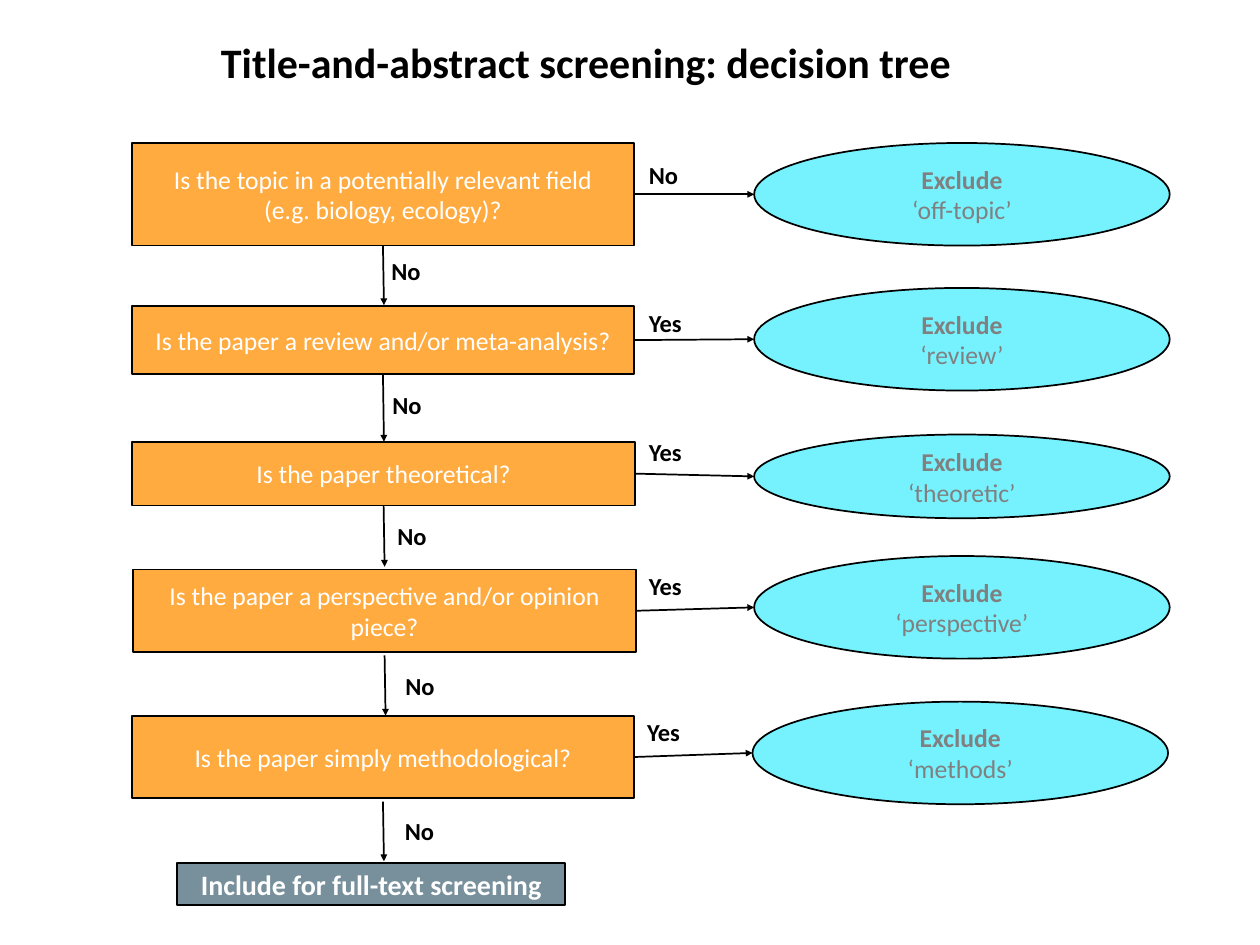
from collections import namedtuple

from pptx import Presentation
from pptx.dml.color import RGBColor
from pptx.enum.shapes import MSO_CONNECTOR, MSO_SHAPE
from pptx.enum.text import MSO_ANCHOR, MSO_AUTO_SIZE, PP_ALIGN
from pptx.oxml.ns import qn
from pptx.util import Cm, Pt
from lxml.etree import SubElement

BLACK = RGBColor(0x00, 0x00, 0x00)
WHITE = RGBColor(0xFF, 0xFF, 0xFF)
GREY = RGBColor(0x80, 0x80, 0x80)
ORANGE = RGBColor(0xFF, 0xAB, 0x40)
CYAN = RGBColor(0x76, 0xF2, 0xFF)
SLATE = RGBColor(0x78, 0x90, 0x9C)

QUESTION_WIDTH = 15.42
EXCLUDE_WIDTH = 12.75

Step = namedtuple(
    "Step",
    "question left top height reason exclude_left exclude_top exclude_height "
    "answer answer_left answer_top down_start down_end no_left no_top",
)

STEPS = [
    Step("Is the topic in a potentially relevant field (e.g. biology, ecology)?",
         4.04, 4.39, 3.15, "‘off-topic’", 23.14, 4.39, 3.15,
         "No", 19.66, 4.78, 7.54, 9.37, 11.76, 7.75),
    Step("Is the paper a review and/or meta-analysis?",
         4.04, 9.4, 2.08, "‘review’", 23.14, 8.84, 3.15,
         "Yes", 19.66, 9.32, 11.48, 13.56, 11.79, 11.86),
    Step("Is the paper theoretical?",
         4.06, 13.56, 1.96, "‘theoretic’", 23.14, 13.34, 2.57,
         "Yes", 19.66, 13.28, 15.52, 17.4, 11.94, 15.88),
    Step("Is the paper a perspective and/or opinion piece?",
         4.09, 17.48, 2.54, "‘perspective’", 23.14, 17.07, 3.15,
         "Yes", 19.66, 17.42, 20.12, 21.97, 12.19, 20.47),
    Step("Is the paper simply methodological?",
         4.04, 21.97, 2.54, "‘methods’", 23.09, 21.54, 3.15,
         "Yes", 19.61, 21.89, 24.61, 26.44, 12.17, 24.94),
]


class DecisionTree:
    font_name = "Calibri"
    line_width = Pt(1.5)

    def __init__(self, page):
        self.page = page

    def set_text(self, paragraph, text, size, color, bold):
        paragraph.text = text
        paragraph.font.name = self.font_name
        paragraph.font.size = Pt(size)
        paragraph.font.color.rgb = color
        paragraph.font.bold = bold

    def label(self, text, left, top, width, height=1.17, size=21.3):
        box = self.page.shapes.add_textbox(Cm(left), Cm(top), Cm(width), Cm(height))
        frame = box.text_frame
        frame.word_wrap = False
        frame.auto_size = MSO_AUTO_SIZE.SHAPE_TO_FIT_TEXT
        self.set_text(frame.paragraphs[0], text, size, BLACK, True)

    def node(self, kind, left, top, width, height, fill, color, lines, size=22.3):
        shape = self.page.shapes.add_shape(kind, Cm(left), Cm(top), Cm(width), Cm(height))
        shape.shadow.inherit = False
        shape.fill.solid()
        shape.fill.fore_color.rgb = fill
        shape.line.color.rgb = BLACK
        shape.line.width = self.line_width
        frame = shape.text_frame
        frame.word_wrap = True
        frame.vertical_anchor = MSO_ANCHOR.MIDDLE
        frame.margin_left = frame.margin_right = Cm(0.51)
        frame.margin_top = frame.margin_bottom = Cm(0.25)
        for index, (text, bold) in enumerate(lines):
            paragraph = frame.add_paragraph() if index else frame.paragraphs[0]
            paragraph.alignment = PP_ALIGN.CENTER
            self.set_text(paragraph, text, size, color, bold)

    def arrow(self, start_x, start_y, end_x, end_y):
        connector = self.page.shapes.add_connector(
            MSO_CONNECTOR.STRAIGHT, Cm(start_x), Cm(start_y), Cm(end_x), Cm(end_y))
        connector.line.color.rgb = BLACK
        connector.line.width = self.line_width
        properties = connector.element.spPr
        SubElement(properties.find(qn("a:ln")), qn("a:tailEnd"), type="triangle")
        SubElement(properties, qn("a:effectLst"))

    def step(self, step):
        self.node(MSO_SHAPE.RECTANGLE, step.left, step.top, QUESTION_WIDTH,
                  step.height, ORANGE, WHITE, [(step.question, False)])
        self.node(MSO_SHAPE.OVAL, step.exclude_left, step.exclude_top, EXCLUDE_WIDTH,
                  step.exclude_height, CYAN, GREY,
                  [("Exclude", True), (step.reason, False)])
        self.arrow(step.left + QUESTION_WIDTH, step.top + step.height / 2,
                   step.exclude_left, step.exclude_top + step.exclude_height / 2)
        center = step.left + QUESTION_WIDTH / 2
        self.arrow(center, step.down_start, center + 0.03, step.down_end)
        self.label(step.answer, step.answer_left, step.answer_top,
                   1.42 if step.answer == "No" else 1.6)
        self.label("No", step.no_left, step.no_top, 1.42)


def main():
    deck = Presentation()
    deck.slide_width = Cm(38.66)
    deck.slide_height = Cm(29.01)
    page = deck.slides.add_slide(deck.slide_layouts[6])
    tree = DecisionTree(page)
    tree.label("Title-and-abstract screening: decision tree",
               6.53, 0.99, 23.24, 1.83, 36.5)
    for step in STEPS:
        tree.step(step)
    tree.node(MSO_SHAPE.RECTANGLE, 5.44, 26.49, 11.89, 1.3, SLATE, WHITE,
              [("Include for full-text screening", True)], 24.4)
    deck.save("out.pptx")


if __name__ == "__main__":
    main()
